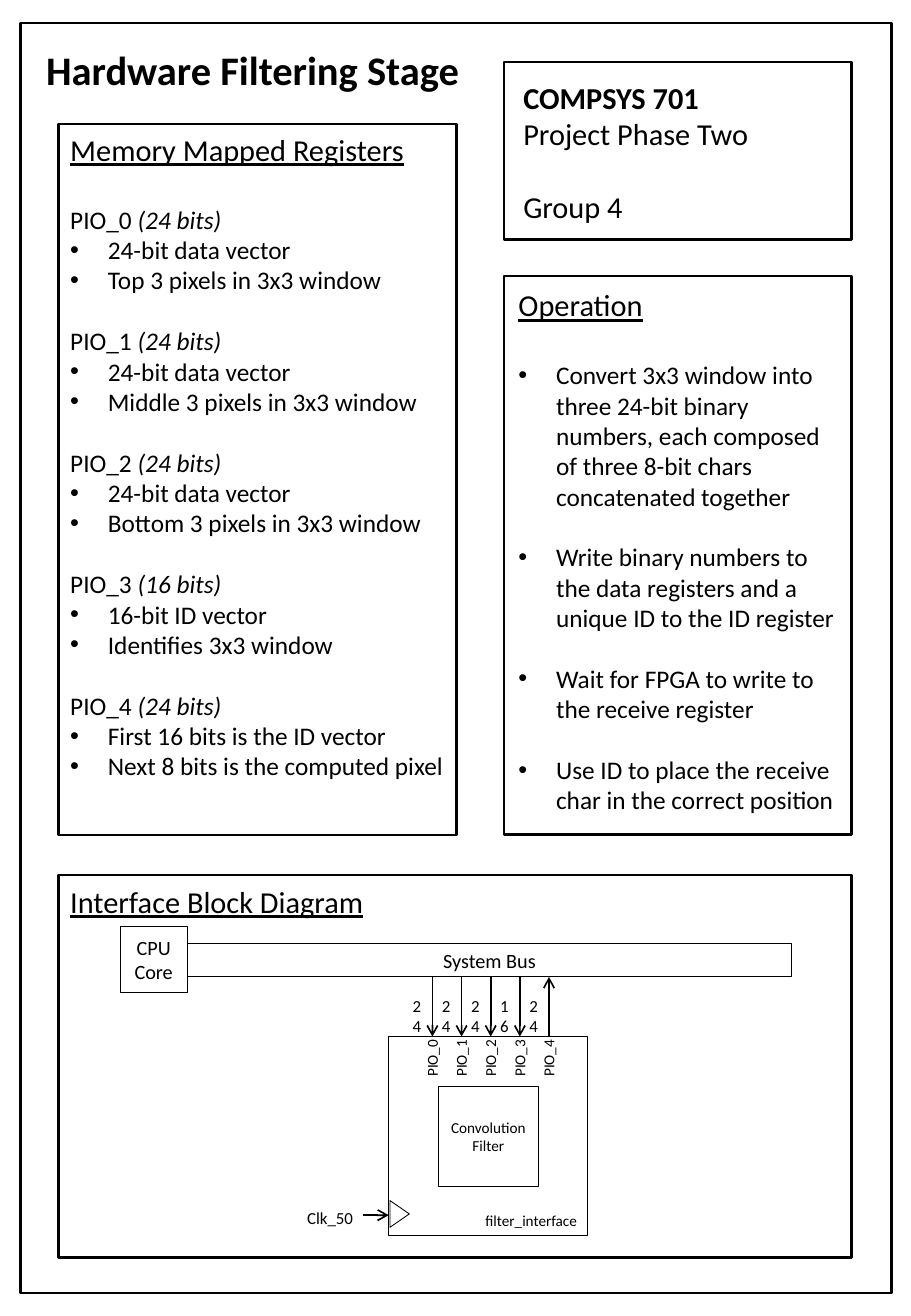
from lxml import etree
from pptx import Presentation
from pptx.dml.color import RGBColor
from pptx.enum.shapes import MSO_CONNECTOR, MSO_SHAPE
from pptx.enum.text import MSO_ANCHOR, MSO_AUTO_SIZE, PP_ALIGN
from pptx.oxml.ns import qn
from pptx.util import Inches, Pt

RECT, TRI = MSO_SHAPE.RECTANGLE, MSO_SHAPE.ISOSCELES_TRIANGLE
STRAIGHT = MSO_CONNECTOR.STRAIGHT
TOP, MID, LOW = MSO_ANCHOR.TOP, MSO_ANCHOR.MIDDLE, MSO_ANCHOR.BOTTOM
LEFT, MIDDLE, RIGHT = PP_ALIGN.LEFT, PP_ALIGN.CENTER, PP_ALIGN.RIGHT
FIT, FIXED = MSO_AUTO_SIZE.SHAPE_TO_FIT_TEXT, MSO_AUTO_SIZE.NONE


class Poster:
    colors = {"ink": "000000"}
    face = "Calibri"
    hang = 0.31

    def __init__(self, slide):
        self.slide = slide
        self.ink = RGBColor.from_string(self.colors["ink"])

    def style(self, para, size, bold=False, under=False):
        for run in para.runs:
            font = run.font
            font.name, font.size, font.bold = self.face, Pt(size), bold
            font.underline = under
            font.color.rgb = self.ink

    def title(self, text, at, size):
        shape = self.slide.shapes.title
        shape.left, shape.top, shape.width, shape.height = map(Inches, at)
        frame = shape.text_frame
        frame.text = text
        frame.word_wrap, frame.auto_size = False, FIXED
        frame.vertical_anchor = TOP
        frame.paragraphs[0].alignment = LEFT
        self.style(frame.paragraphs[0], size, bold=True)

    def box(self, at, width=1.5, kind=RECT):
        shape = self.slide.shapes.add_shape(kind, *map(Inches, at))
        shape.shadow.inherit = False
        shape.fill.background()
        shape.line.color.rgb = self.ink
        shape.line.width = Pt(width)
        return shape

    def block(self, text, at, size, align=MIDDLE, anchor=MID):
        frame = self.box(at, 0.5).text_frame
        frame.text = text
        frame.word_wrap, frame.vertical_anchor = True, anchor
        frame.margin_left = frame.margin_right = Inches(0.09)
        frame.paragraphs[0].alignment = align
        self.style(frame.paragraphs[0], size)

    def text(self, text, at, size, wrap=False, turn=0, **look):
        shape = self.slide.shapes.add_textbox(*map(Inches, at))
        shape.rotation = turn
        frame = shape.text_frame
        frame.text = text
        frame.word_wrap, frame.auto_size = wrap, FIT
        self.style(frame.paragraphs[0], size, **look)
        return frame

    def add(self, frame, text, size, gap=0, note="", bullet=False):
        para = frame.add_paragraph()
        para.text = text
        para.space_before = Pt(gap)
        if note:
            run = para.add_run()
            run.text = note
            run.font.italic = True
        self.style(para, size)
        if bullet:
            props = para._p.get_or_add_pPr()
            props.set("marL", str(Inches(self.hang)))
            props.set("indent", str(-Inches(self.hang)))
            etree.SubElement(props, qn("a:buFont")).set("typeface", "Arial")
            etree.SubElement(props, qn("a:buChar")).set("char", "•")

    def arrow(self, x1, y1, x2, y2):
        ends = map(Inches, (x1, y1, x2, y2))
        line = self.slide.shapes.add_connector(STRAIGHT, *ends)
        line.line.color.rgb = self.ink
        line.line.width = Pt(1)
        etree.SubElement(line.line._get_or_add_ln(), qn("a:tailEnd")).set("type", "arrow")
        etree.SubElement(line._element.spPr, qn("a:effectLst"))


def main():
    deck = Presentation()
    deck.slide_width, deck.slide_height = Inches(7.5), Inches(10.83)
    page = Poster(deck.slides.add_slide(deck.slide_layouts[5]))

    # Page border and title
    page.box((0.17, 0.19, 7.17, 10.45))
    page.title("Hardware Filtering Stage", (0.28, 0.32, 3.64, 0.5), 24)

    # Memory mapped registers
    page.box((0.48, 1.02, 3.28, 5.85))
    frame = page.text("Memory Mapped Registers", (0.48, 1.03, 3.31, 5.77), 18, under=True)
    regs = [
        (24, "24-bit data vector", "Top 3 pixels in 3x3 window"),
        (24, "24-bit data vector", "Middle 3 pixels in 3x3 window"),
        (24, "24-bit data vector", "Bottom 3 pixels in 3x3 window"),
        (16, "16-bit ID vector", "Identifies 3x3 window"),
        (24, "First 16 bits is the ID vector", "Next 8 bits is the computed pixel"),
    ]
    for i, (bits, *facts) in enumerate(regs):
        page.add(frame, f"PIO_{i} ", 15, 18 if i else 21.5, f"({bits} bits)")
        for fact in facts:
            page.add(frame, fact, 15, bullet=True)

    # Course details
    page.box((4.15, 0.51, 2.86, 1.46))
    frame = page.text("COMPSYS 701", (4.21, 0.6, 2.07, 1.31), 18, bold=True)
    page.add(frame, "Project Phase Two", 18)
    page.add(frame, "Group 4", 18, 21.5)

    # Operation
    page.box((4.15, 2.27, 2.86, 4.6))
    frame = page.text("Operation", (4.17, 2.31, 2.84, 4.5), 18, wrap=True, under=True)
    steps = [
        "Convert 3x3 window into three 24-bit binary numbers, each composed "
        "of three 8-bit chars concatenated together",
        "Write binary numbers to the data registers and a unique ID to the ID register",
        "Wait for FPGA to write to the receive register",
        "Use ID to place the receive char in the correct position",
    ]
    for i, step in enumerate(steps):
        page.add(frame, step, 15, 18 if i else 21.5, bullet=True)

    # Block diagram
    page.box((0.48, 7.2, 6.53, 3.15))
    page.text("Interface Block Diagram", (0.48, 7.22, 2.64, 0.4), 18, under=True)
    page.block("CPU Core", (0.99, 7.62, 0.55, 0.55), 12)
    page.block("System Bus", (1.54, 7.76, 4.98, 0.28), 12)
    page.block("filter_interface", (3.2, 8.53, 1.64, 1.64), 9, RIGHT, LOW)
    page.block("Convolution Filter", (3.61, 8.94, 0.82, 0.82), 9)

    # Ports: the last one sends data back to the bus
    bus, port = 8.04, 8.53
    for i, (bits, *_) in enumerate(regs):
        x = 3.56 + 0.24 * i
        start, end = (port, bus) if i == len(regs) - 1 else (bus, port)
        page.arrow(x, start, x, end)
        page.text(f"PIO_{i}", (x - 0.26, 8.58, 0.51, 0.25), 9, turn=270)
        page.text(str(bits), (x - 0.26, 8.14, 0.26, 0.19), 10, wrap=True)

    # Clock input
    page.box((3.18, 9.91, 0.22, 0.16), 0.5, TRI).rotation = 90
    page.arrow(2.99, 10, 3.2, 10)
    page.text("Clk_50", (2.43, 9.89, 0.59, 0.27), 10)

    deck.save("out.pptx")


if __name__ == "__main__":
    main()
